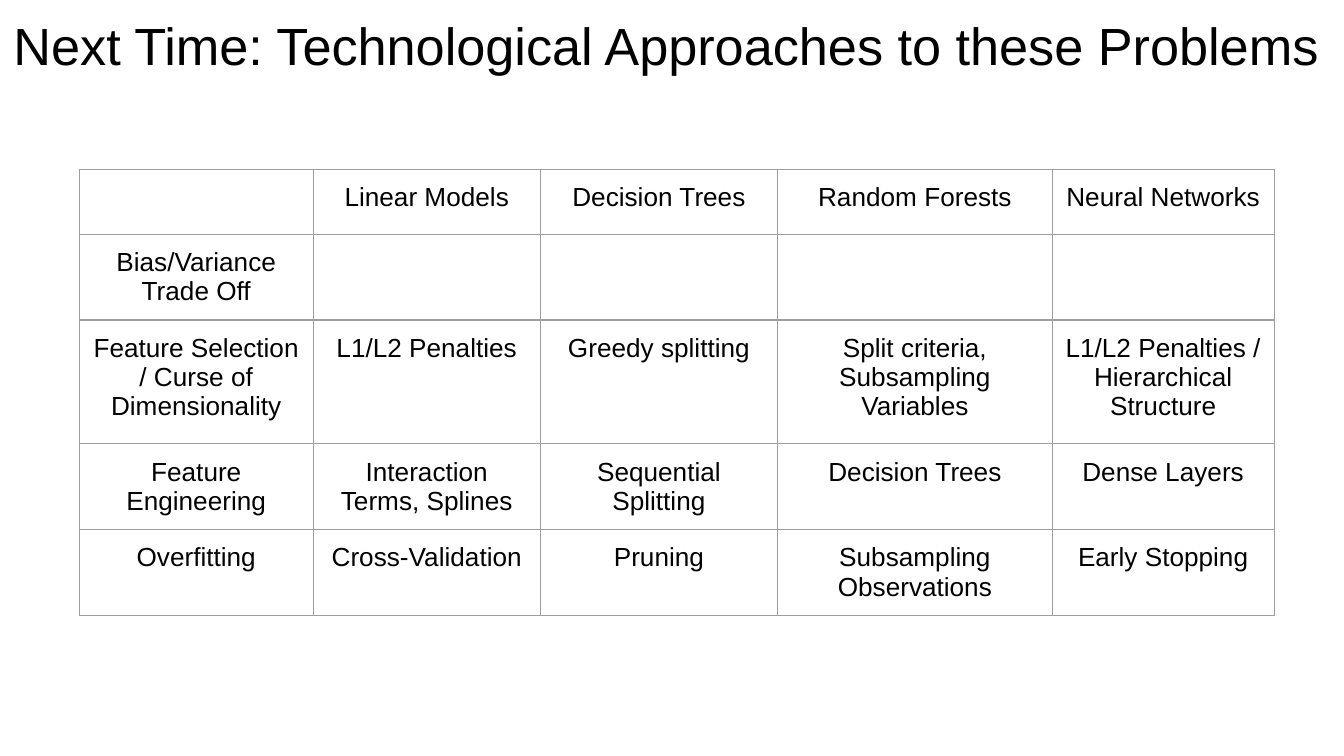
from dataclasses import dataclass

from lxml import etree
from pptx import Presentation
from pptx.dml.color import RGBColor
from pptx.enum.text import MSO_ANCHOR, MSO_AUTO_SIZE, PP_ALIGN
from pptx.oxml.ns import qn
from pptx.util import Pt

LEFT, CENTER = PP_ALIGN.LEFT, PP_ALIGN.CENTER
TOP, NO_AUTOFIT = MSO_ANCHOR.TOP, MSO_AUTO_SIZE.NONE
COLORS = {"text": "000000", "border": "9E9E9E"}
FONT = "Arial"
INSET = Pt(7.2)
BORDER = Pt(0.75)


@dataclass
class TableRow:
    height: float
    cells: tuple[str, ...]


COLUMN_WIDTHS = (125.5, 121.5, 127.3, 147, 119)
ROWS = (
    TableRow(34.8, ("", "Linear Models", "Decision Trees", "Random Forests",
                    "Neural Networks")),
    TableRow(45.5, ("Bias/Variance Trade Off", "", "", "", "")),
    TableRow(66.4, ("Feature Selection / Curse of Dimensionality",
                    "L1/L2 Penalties", "Greedy splitting",
                    "Split criteria, Subsampling Variables",
                    "L1/L2 Penalties / Hierarchical Structure")),
    TableRow(45.5, ("Feature Engineering", "Interaction Terms, Splines",
                    "Sequential Splitting", "Decision Trees", "Dense Layers")),
    TableRow(45.5, ("Overfitting", "Cross-Validation", "Pruning",
                    "Subsampling Observations", "Early Stopping")),
)


def set_insets(box) -> None:
    """Give a text frame or a table cell equal margins."""
    box.margin_left = box.margin_right = INSET
    box.margin_top = box.margin_bottom = INSET


def format_paragraph(p, size: float, align) -> None:
    p.alignment = align
    p.font.name = FONT
    p.font.size = Pt(size)
    p.font.bold = False
    p.font.color.rgb = RGBColor.from_string(COLORS["text"])


def add_borders(cell) -> None:
    """Outline all four sides; border lines must precede the cell fill."""
    tc_pr = cell._tc.get_or_add_tcPr()
    for i, side in enumerate(("lnL", "lnR", "lnT", "lnB")):
        ln = etree.Element(qn(f"a:{side}"), w=str(BORDER))
        fill = etree.SubElement(ln, qn("a:solidFill"))
        etree.SubElement(fill, qn("a:srgbClr"), val=COLORS["border"])
        tc_pr.insert(i, ln)


def set_title(s, text: str) -> None:
    sp = s.shapes.title
    sp.left, sp.top, sp.width, sp.height = Pt(0), Pt(0), Pt(718), Pt(45)
    tf = sp.text_frame
    tf.text = text
    tf.word_wrap = True
    tf.auto_size = NO_AUTOFIT
    tf.vertical_anchor = TOP
    set_insets(tf)
    format_paragraph(tf.paragraphs[0], 28, LEFT)


def add_approach_table(s, left: float, top: float) -> None:
    width, height = sum(COLUMN_WIDTHS), sum(row.height for row in ROWS)
    table = s.shapes.add_table(len(ROWS), len(COLUMN_WIDTHS), Pt(left), Pt(top),
                               Pt(width), Pt(height)).table
    table.first_row = table.horz_banding = False
    for column, column_width in zip(table.columns, COLUMN_WIDTHS):
        column.width = Pt(column_width)
    for table_row, row in zip(table.rows, ROWS):
        table_row.height = Pt(row.height)
        for cell, text in zip(table_row.cells, row.cells):
            cell.text = text
            cell.fill.background()
            cell.vertical_anchor = TOP
            set_insets(cell)
            add_borders(cell)
            format_paragraph(cell.text_frame.paragraphs[0], 14, CENTER)


def main() -> None:
    prs = Presentation()
    prs.slide_width, prs.slide_height = Pt(720), Pt(405)
    s = prs.slides.add_slide(prs.slide_layouts[5])  # title only
    set_title(s, "Next Time: Technological Approaches to these Problems")
    add_approach_table(s, 42.4, 90.7)
    prs.save("out.pptx")


if __name__ == "__main__":
    main()
